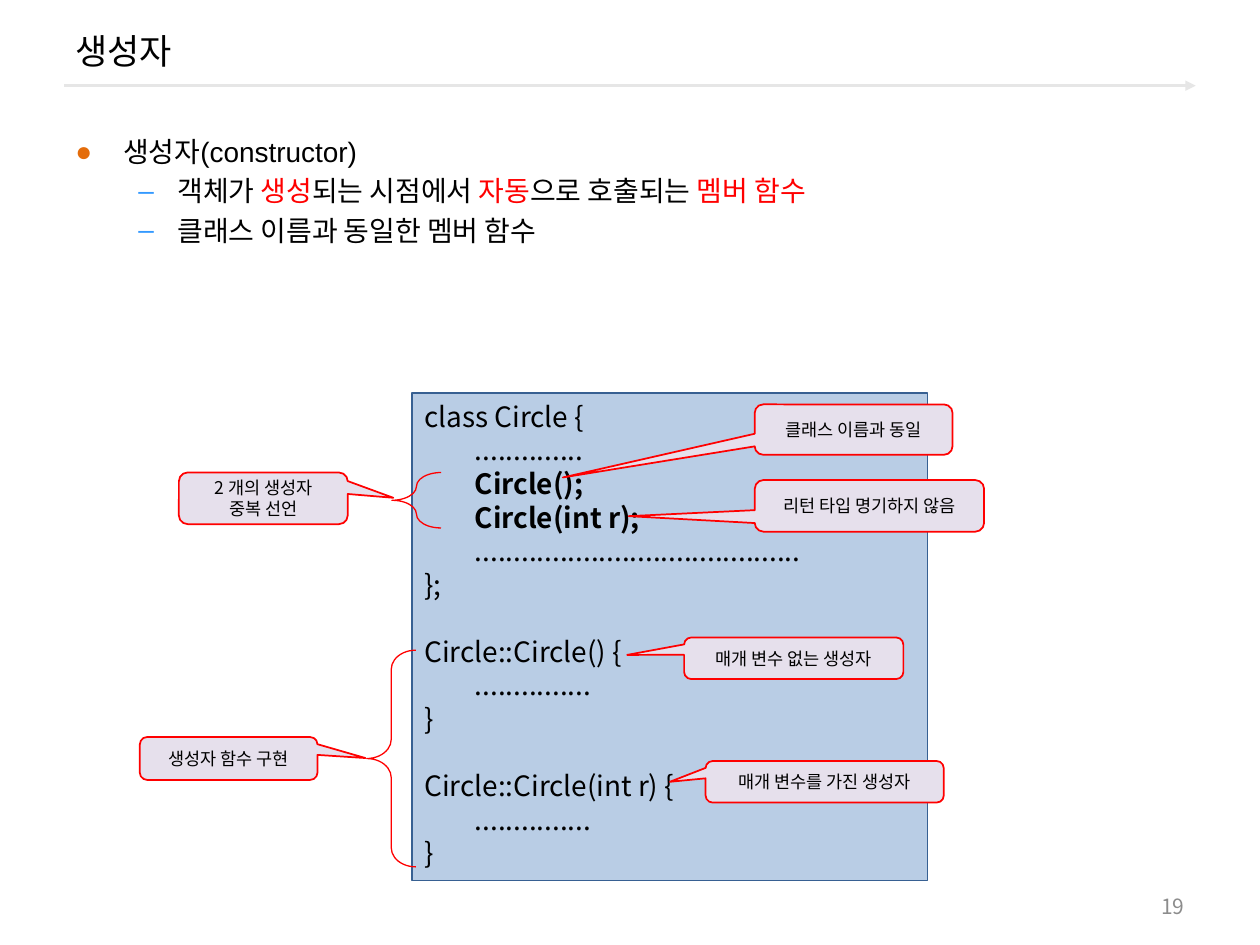
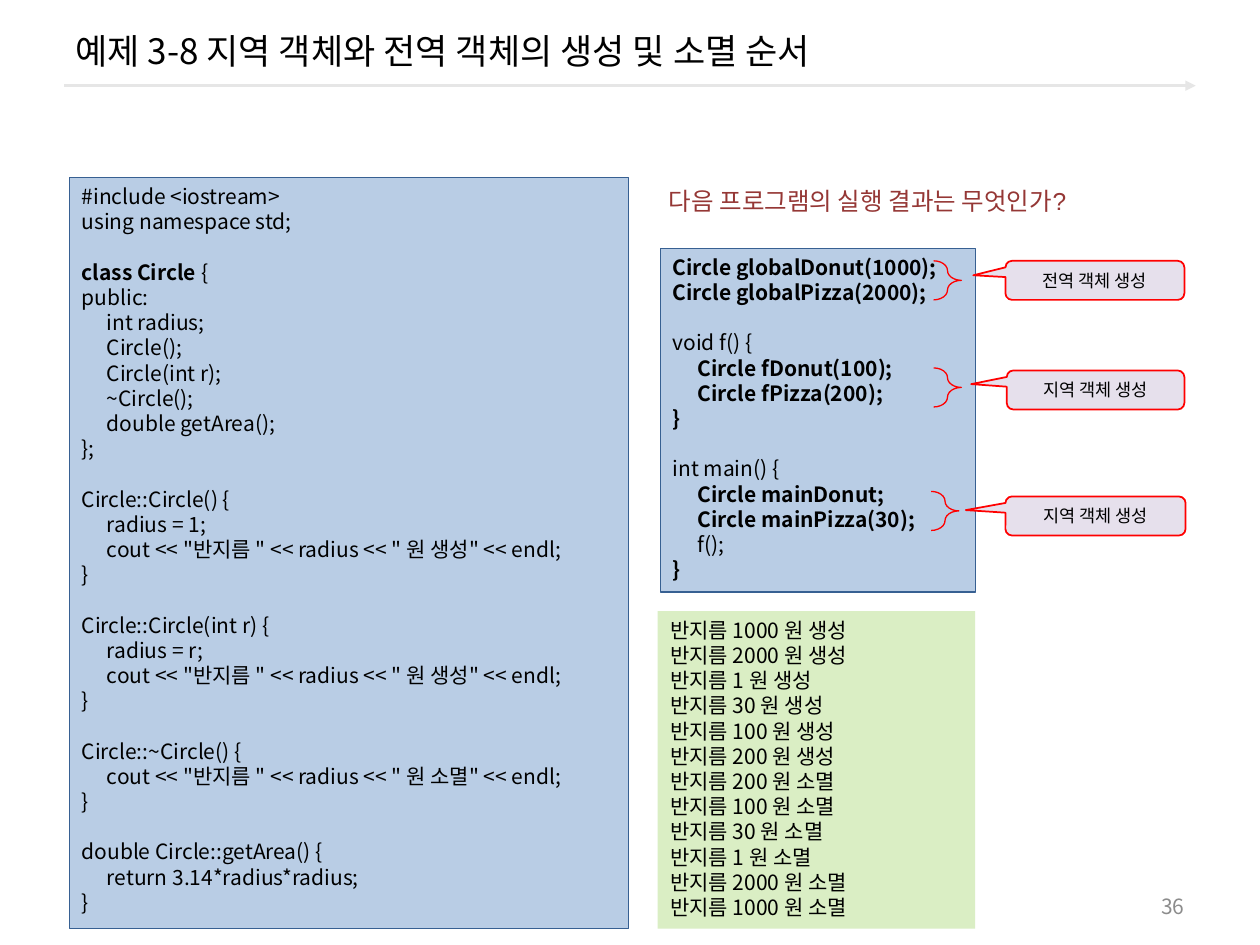
import pptx
import pptx.dml.color
import pptx.enum.shapes
import pptx.enum.text
import pptx.oxml.ns
import pptx.util
from lxml import etree

RGB = pptx.dml.color.RGBColor
Inches = pptx.util.Inches
Pt = pptx.util.Pt
Shape = pptx.enum.shapes.MSO_SHAPE
Align = pptx.enum.text.PP_ALIGN
Anchor = pptx.enum.text.MSO_ANCHOR
qn = pptx.oxml.ns.qn

BLACK = RGB(0x00, 0x00, 0x00)
RED = RGB(0xFF, 0x00, 0x00)
MAROON = RGB(0x95, 0x37, 0x35)
PAGE_GRAY = RGB(0x8C, 0x8C, 0x8C)
RULE_GRAY = RGB(0xE6, 0xE6, 0xE6)
CODE_FILL = RGB(0xB9, 0xCD, 0xE5)
CODE_LINE = RGB(0x37, 0x60, 0x92)
OUTPUT_FILL = RGB(0xDA, 0xEE, 0xC4)
CALLOUT_FILL = RGB(0xE6, 0xE0, 0xEC)
BULLET_ORANGE = RGB(0xE4, 0x6C, 0x0A)
BULLET_BLUE = RGB(0x33, 0x99, 0xFF)

KOREAN = "Noto Sans CJK KR"
LATIN = "Arial"
LINE_HEIGHT = 1.2
TAB_WIDTH = 0.2

CIRCLE_OUTLINE = """class Circle {
\t\t..............
\t\t|Circle();|
\t\t|Circle(int r);|
\t\t..........................................
};

Circle::Circle() {
\t\t...............
}

Circle::Circle(int r) {
\t\t...............
}"""

CIRCLE_CLASS = """#include <iostream>
using namespace std;

|class Circle |{
public:
\tint radius;
\tCircle();
\tCircle(int r);
\t~Circle();
\tdouble getArea();
};

Circle::Circle() {
\tradius = 1;
\tcout << "반지름 " << radius << " 원 생성" << endl;
}

Circle::Circle(int r) {
\tradius = r;
\tcout << "반지름 " << radius << " 원 생성" << endl;
}

Circle::~Circle() {
\tcout << "반지름 " << radius << " 원 소멸" << endl;
}

double Circle::getArea() {
\treturn 3.14*radius*radius;
}"""

CIRCLE_MAIN = """|Circle globalDonut(1000);|
|Circle globalPizza(2000);|

void f() {
\t|Circle fDonut(100);|
\t|Circle fPizza(200);|
|}|

int main() {
\t|Circle mainDonut;|
\t|Circle mainPizza(30);|
\tf();
|}|"""

CREATED_RADII = (1000, 2000, 1, 30, 100, 200)


def inches(box):
    return [Inches(value) for value in box]


def add_marked_runs(paragraph, text, size, font=KOREAN, color=BLACK, marked_color=None):
    """Text between bars is bold, or takes marked_color when that is given."""
    for index, piece in enumerate(text.split("|")):
        if not piece:
            continue
        marked = index % 2 == 1
        run = paragraph.add_run()
        run.text = piece
        run.font.size = Pt(size)
        run.font.name = font
        run.font.bold = marked and marked_color is None
        run.font.color.rgb = marked_color if marked and marked_color else color
        east_asian = etree.SubElement(run.font._element, qn("a:ea"))
        east_asian.set("typeface", KOREAN)


def next_paragraph(text_frame, index):
    return text_frame.add_paragraph() if index else text_frame.paragraphs[0]


def add_label(slide, text, box, size, font=KOREAN, color=BLACK,
              align=Align.LEFT, anchor=Anchor.MIDDLE):
    text_frame = slide.shapes.add_textbox(*inches(box)).text_frame
    text_frame.word_wrap = True
    text_frame.vertical_anchor = anchor
    paragraph = text_frame.paragraphs[0]
    paragraph.alignment = align
    add_marked_runs(paragraph, text, size, font, color)


def add_shape(slide, kind, box, fill=None, line=None, line_width=0.75):
    shape = slide.shapes.add_shape(kind, *inches(box))
    shape.shadow.inherit = False
    if fill is None:
        shape.fill.background()
    else:
        shape.fill.solid()
        shape.fill.fore_color.rgb = fill
    if line is None:
        shape.line.fill.background()
    else:
        shape.line.color.rgb = line
        shape.line.width = Pt(line_width)
    return shape


def add_title_rule(slide):
    rule = slide.shapes.add_connector(
        pptx.enum.shapes.MSO_CONNECTOR.STRAIGHT, *inches((0.51, 0.68, 9.49, 0.68)))
    rule.line.color.rgb = RULE_GRAY
    rule.line.width = Pt(1.5)
    properties = rule.element.spPr
    etree.SubElement(properties.find(qn("a:ln")), qn("a:tailEnd")).set("type", "triangle")
    etree.SubElement(properties, qn("a:effectLst"))


def add_titled_slide(presentation, title, number):
    slide = presentation.slides.add_slide(presentation.slide_layouts[6])
    add_title_rule(slide)
    add_label(slide, title, (0.5, 0.08, 9, 0.64), 20)
    add_label(slide, str(number), (7.17, 7.03, 2.33, 0.32), 12,
              color=PAGE_GRAY, align=Align.RIGHT)
    return slide


def add_bullets(slide, items, box):
    """Items are (level, text); text between bars is red."""
    styles = (("●", BULLET_ORANGE, 0.38, -0.38), ("–", BULLET_BLUE, 0.81, -0.31))
    text_frame = slide.shapes.add_textbox(*inches(box)).text_frame
    text_frame.word_wrap = True
    for index, (level, text) in enumerate(items):
        character, color, margin, indent = styles[level]
        paragraph = next_paragraph(text_frame, index)
        paragraph.level = level
        properties = paragraph._p.get_or_add_pPr()
        properties.set("marL", str(Inches(margin)))
        properties.set("indent", str(Inches(indent)))
        bullet_color = etree.SubElement(properties, qn("a:buClr"))
        etree.SubElement(bullet_color, qn("a:srgbClr")).set("val", str(color))
        etree.SubElement(properties, qn("a:buFont")).set("typeface", LATIN)
        etree.SubElement(properties, qn("a:buChar")).set("char", character)
        if index:
            paragraph.space_before = Pt(3.2)
        add_marked_runs(paragraph, text, 16, LATIN, marked_color=RED)


def add_listing(slide, code, box, size, fill=CODE_FILL, line=CODE_LINE):
    """A panel of lines; an empty line becomes space before the next one."""
    panel = add_shape(slide, Shape.RECTANGLE, box, fill, line)
    text_frame = panel.text_frame
    text_frame.word_wrap = True
    text_frame.vertical_anchor = Anchor.TOP
    index = 0
    for block_number, block in enumerate(code.split("\n\n")):
        for line_number, text in enumerate(block.split("\n")):
            paragraph = next_paragraph(text_frame, index)
            index += 1
            paragraph.alignment = Align.LEFT
            if block_number and line_number == 0:
                paragraph.space_before = Pt(size * LINE_HEIGHT)
            if text.startswith("\t"):
                tabs = etree.SubElement(paragraph._p.get_or_add_pPr(), qn("a:tabLst"))
                for stop in (1, 2):
                    tab = etree.SubElement(tabs, qn("a:tab"))
                    tab.set("pos", str(Inches(TAB_WIDTH * stop)))
                    tab.set("algn", "l")
            add_marked_runs(paragraph, text, size)


def add_callout(slide, text, box, tip):
    """Tip is the pointer's end as a share of the box, from its centre."""
    callout = add_shape(slide, Shape.ROUNDED_RECTANGULAR_CALLOUT, box, CALLOUT_FILL, RED, 1)
    for index, value in enumerate((*tip, 0.17)):
        callout.adjustments[index] = value
    text_frame = callout.text_frame
    text_frame.word_wrap = True
    text_frame.vertical_anchor = Anchor.MIDDLE
    for index, line in enumerate(text.split("\n")):
        paragraph = next_paragraph(text_frame, index)
        paragraph.alignment = Align.CENTER
        add_marked_runs(paragraph, line, 10)


def add_brace(slide, box, curve, rotation=0):
    brace = add_shape(slide, Shape.RIGHT_BRACE, box, line=RED)
    brace.adjustments[0] = curve
    brace.adjustments[1] = 0.5
    brace.rotation = rotation


def build_constructor_slide(presentation):
    slide = add_titled_slide(presentation, "생성자", 19)
    add_bullets(slide, (
        (0, "생성자(constructor)"),
        (1, "객체가 |생성|되는 시점에서 |자동|으로 호출되는 |멤버 함수|"),
        (1, "클래스 이름과 동일한 멤버 함수"),
    ), (0.5, 1.02, 9, 6.02))
    add_listing(slide, CIRCLE_OUTLINE, (3.27, 3.12, 4.09, 3.87), 16)
    for box in ((2.91, 5.16, 0.39, 1.72), (3.11, 3.75, 0.39, 0.44)):
        add_brace(slide, box, 0.39, 180)
    for text, box, tip in (
        ("리턴 타입 명기하지 않음", (5.99, 3.81, 1.82, 0.41), (-1.05, 0.2)),
        ("클래스 이름과 동일", (5.99, 3.21, 1.57, 0.4), (-1.47, 0.95)),
        ("2 개의 생성자\n중복 선언", (1.42, 3.75, 1.34, 0.41), (0.77, -0.01)),
        ("매개 변수 없는 생성자", (5.43, 5.06, 1.74, 0.33), (-0.76, -0.08)),
        ("매개 변수를 가진 생성자", (5.6, 6.04, 1.89, 0.33), (-0.65, 0)),
        ("생성자 함수 구현", (1.11, 5.85, 1.41, 0.34), (0.77, -0.01)),
    ):
        add_callout(slide, text, box, tip)


def build_object_order_slide(presentation):
    slide = add_titled_slide(
        presentation, "예제 3-8 지역 객체와 전역 객체의 생성 및 소멸 순서", 36)
    add_listing(slide, CIRCLE_CLASS, (0.55, 1.41, 4.44, 5.96), 12)
    add_listing(slide, CIRCLE_MAIN, (5.24, 1.97, 2.5, 2.73), 12)
    output = [f"반지름 {radius} 원 생성" for radius in CREATED_RADII]
    output += [f"반지름 {radius} 원 소멸" for radius in
               (200, 100, 30, 1, 2000, 1000)]
    add_listing(slide, "\n".join(output), (5.22, 4.85, 2.52, 2.52), 12, OUTPUT_FILL, None)
    for text, left, top, width, tip, brace_left, brace_top in (
        ("전역 객체 생성", 7.98, 2.07, 1.42, (-0.68, -0.13), 7.41, 2.07),
        ("지역 객체 생성", 7.99, 2.94, 1.41, (-0.7, -0.15), 7.41, 2.92),
        ("지역 객체 생성", 7.98, 3.94, 1.43, (-0.72, -0.15), 7.39, 3.9),
    ):
        add_callout(slide, text, (left, top, width, 0.31), tip)
        add_brace(slide, (brace_left, brace_top, 0.22, 0.31), 0.44)
    add_label(slide, "다음 프로그램의 실행 결과는 무엇인가?", (5.21, 1.43, 4.35, 0.34), 14,
              LATIN, MAROON, anchor=Anchor.TOP)


def main():
    presentation = pptx.Presentation()
    presentation.slide_width = Inches(10)
    presentation.slide_height = Inches(7.5)
    build_constructor_slide(presentation)
    build_object_order_slide(presentation)
    presentation.save("out.pptx")


if __name__ == "__main__":
    main()
